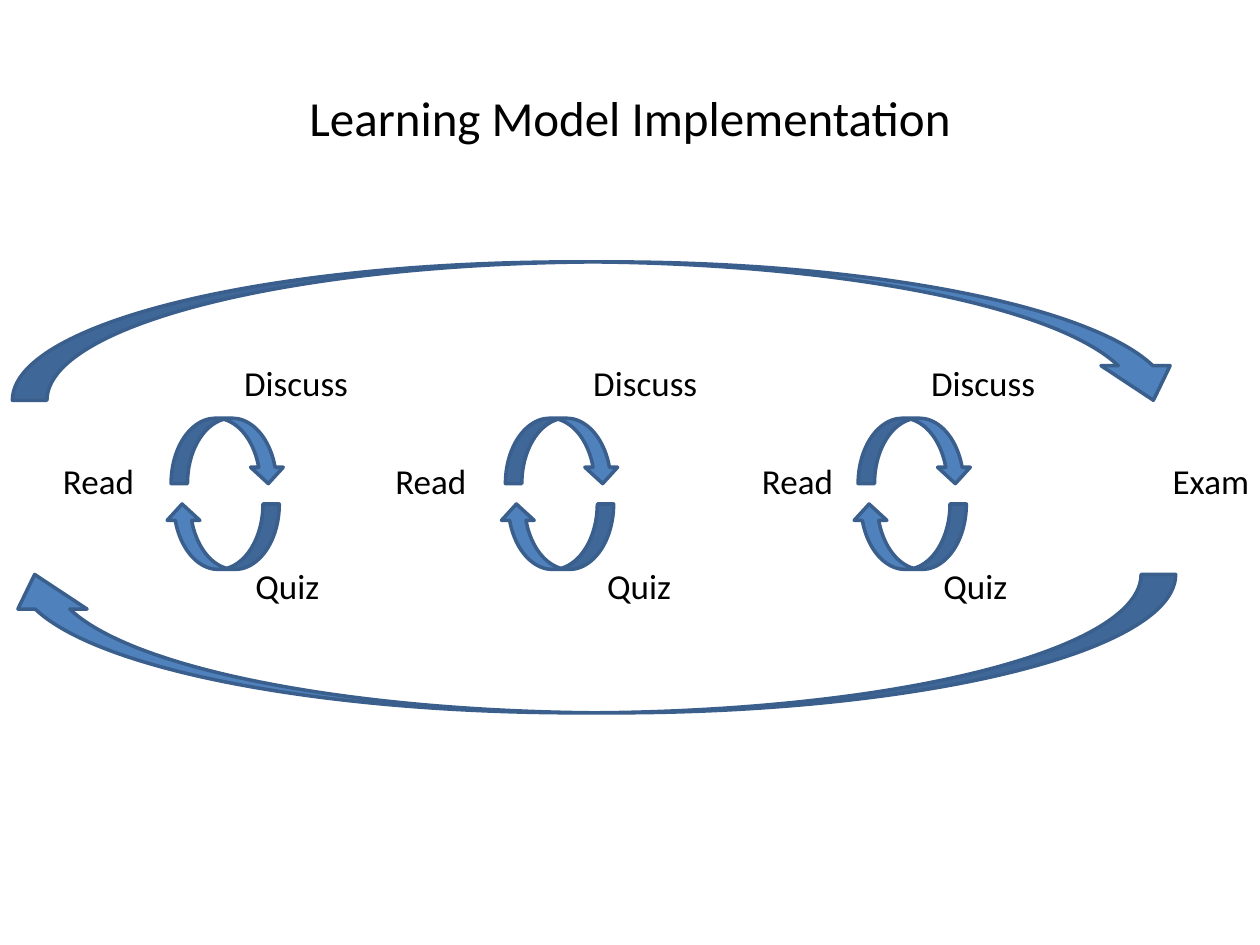
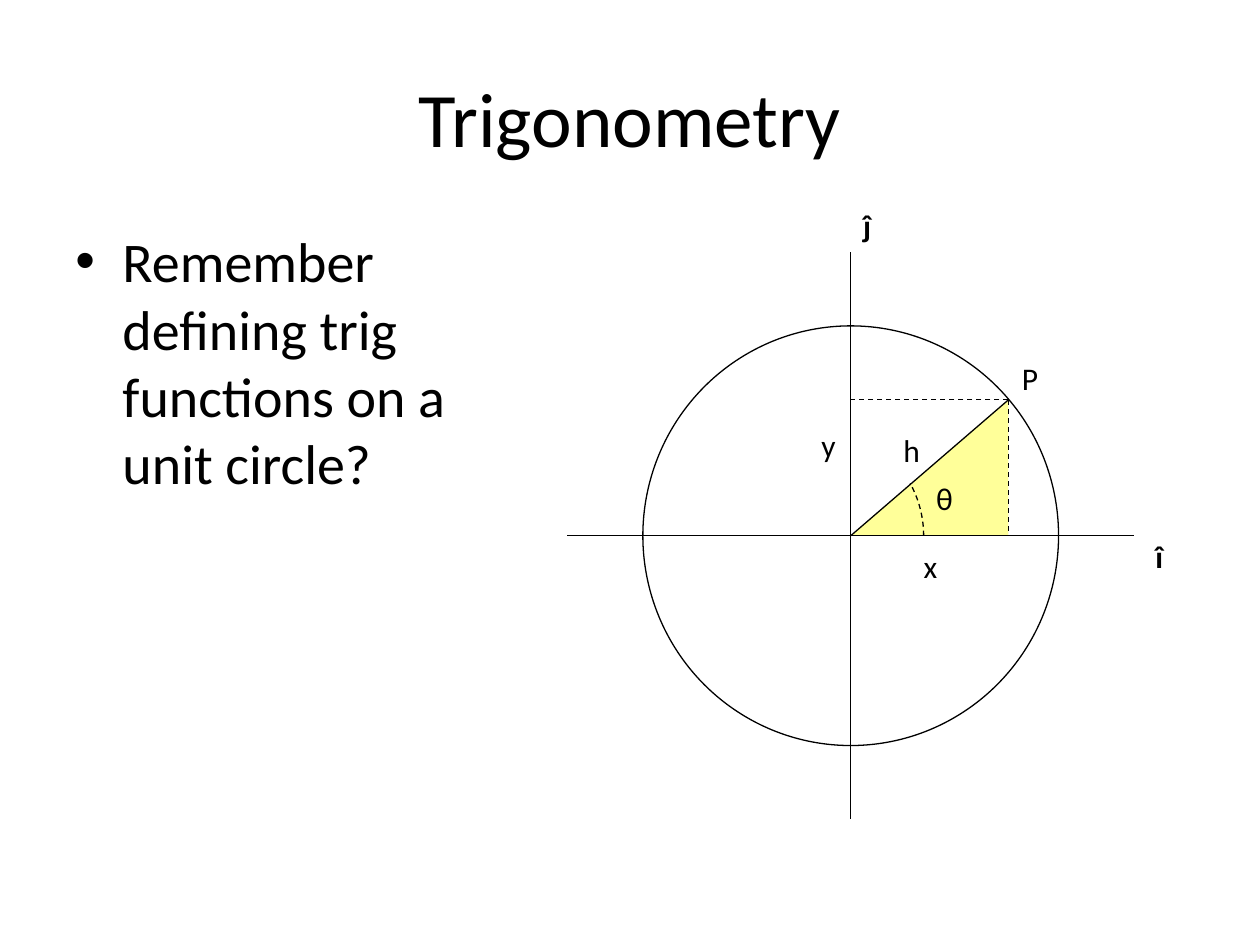
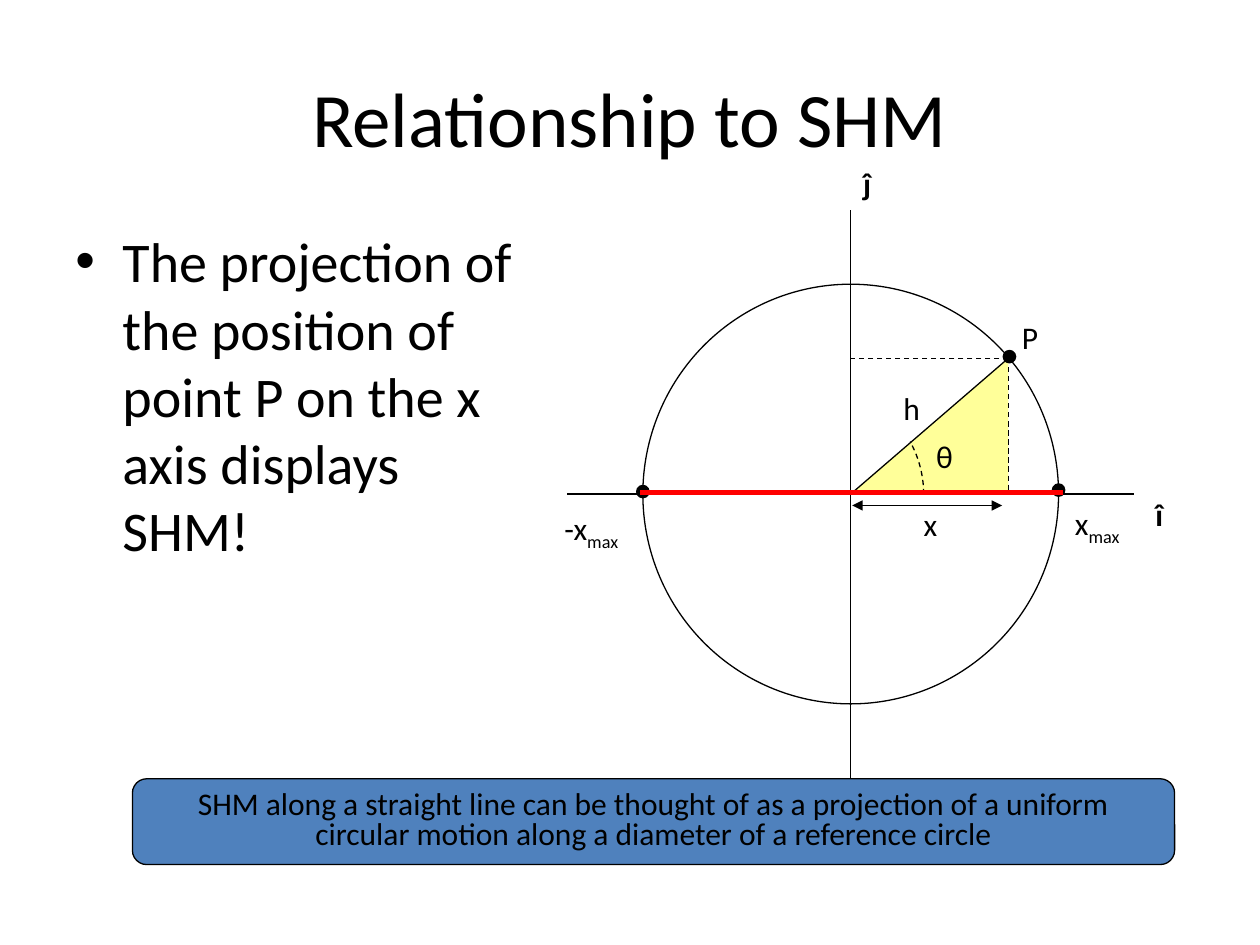
from dataclasses import dataclass
from math import cos, radians, sin

from lxml.etree import SubElement
from pptx import Presentation
from pptx.dml.color import RGBColor as RGB
from pptx.enum.dml import MSO_LINE_DASH_STYLE as DASH
from pptx.enum.shapes import MSO_CONNECTOR as CONNECTOR
from pptx.enum.shapes import MSO_SHAPE as SHAPE
from pptx.enum.text import MSO_ANCHOR as ANCHOR
from pptx.enum.text import PP_ALIGN as ALIGN
from pptx.oxml.ns import qn
from pptx.util import Cm, Pt


@dataclass(frozen=True)
class Theme:
    font: str = "Calibri"
    black: RGB = RGB(0x00, 0x00, 0x00)
    blue: RGB = RGB(0x4F, 0x81, 0xBD)
    blue_edge: RGB = RGB(0x3A, 0x5F, 0x8C)
    yellow: RGB = RGB(0xFF, 0xFF, 0x99)
    red: RGB = RGB(0xFF, 0x00, 0x00)
    title: int = 44
    small_title: int = 28
    body: int = 32
    step: int = 20
    label: int = 18
    thin: float = 0.75
    edge: float = 2
    thick: float = 3


T = Theme()


def style_runs(p, size, bold=False):
    for r in p.runs:
        r.font.name = T.font
        r.font.size = Pt(size)
        r.font.bold = bold
        r.font.color.rgb = T.black


def add_text(slide, text, x, y, w, h, size, wrap=False, bold=False):
    sp = slide.shapes.add_textbox(Cm(x), Cm(y), Cm(w), Cm(h))
    tf = sp.text_frame
    tf.word_wrap = wrap
    tf.text = text
    style_runs(tf.paragraphs[0], size, bold)
    return tf


def add_title(slide, text, size=T.title):
    tf = add_text(slide, text, 1.27, 0.76, 22.86, 3.18, size, wrap=True)
    tf.vertical_anchor = ANCHOR.MIDDLE
    tf.paragraphs[0].alignment = ALIGN.CENTER


def add_bullet(slide, text):
    tf = add_text(slide, text, 1.27, 4.45, 9.65, 12.57, T.body, wrap=True)
    pPr = tf.paragraphs[0]._p.get_or_add_pPr()
    pPr.set("marL", str(Cm(0.95)))
    pPr.set("indent", str(-Cm(0.95)))
    SubElement(pPr, qn("a:buFont")).set("typeface", "Arial")
    SubElement(pPr, qn("a:buChar")).set("char", "•")


def paint(sp, fill=None, line=None, width=T.thin):
    sp.shadow.inherit = False
    if fill is None:
        sp.fill.background()
    else:
        sp.fill.solid()
        sp.fill.fore_color.rgb = fill
    if line is None:
        sp.line.fill.background()
    else:
        sp.line.color.rgb = line
        sp.line.width = Pt(width)


def add_shape(slide, kind, x, y, w, h, fill=None, line=None, width=T.thin):
    sp = slide.shapes.add_shape(kind, Cm(x), Cm(y), Cm(w), Cm(h))
    paint(sp, fill, line, width)
    return sp


def add_line(slide, x1, y1, x2, y2, color=T.black, width=T.thin, dashed=False, arrows=False):
    cx = slide.shapes.add_connector(CONNECTOR.STRAIGHT, Cm(x1), Cm(y1), Cm(x2), Cm(y2))
    cx.line.color.rgb = color
    cx.line.width = Pt(width)
    if dashed:
        cx.line.dash_style = DASH.DASH
    if arrows:
        ln = cx.line._get_or_add_ln()
        for end in ("a:headEnd", "a:tailEnd"):
            SubElement(ln, qn(end)).set("type", "triangle")
    SubElement(cx._element.spPr, qn("a:effectLst"))


def add_arc(slide, cx, cy, radius, degrees):
    points = [(Cm(cx + radius * cos(radians(a))), Cm(cy - radius * sin(radians(a))))
              for a in range(degrees + 1)]
    builder = slide.shapes.build_freeform(*points[0])
    builder.add_line_segments(points[1:], close=False)
    sp = builder.convert_to_shape()
    paint(sp, line=T.black)
    sp.line.dash_style = DASH.DASH


def add_cycle_arrows(slide, top_xy, bottom_xy, w, h):
    for (x, y), turn in ((top_xy, 0), (bottom_xy, 180)):
        sp = add_shape(slide, SHAPE.CURVED_DOWN_ARROW, x, y, w, h, T.blue, T.blue_edge, T.edge)
        sp.rotation = turn


def add_label(slide, text, x, y, w=0.84, bold=False):
    return add_text(slide, text, x, y, w, 1.02, T.label, bold=bold)


def add_max_label(slide, text, x, y, w):
    p = add_label(slide, text, x, y, w).paragraphs[0]
    r = p.add_run()
    r.text = "max"
    style_runs(p, T.label)
    r.font._element.set("baseline", "-25000")


def add_unit_circle(slide, cx, cy):
    px, py = cx + 3.18, cy - 2.74
    axis, rx, ry = 5.72, 4.19, 4.23
    triangle = add_shape(slide, SHAPE.RIGHT_TRIANGLE, cx, py, px - cx, cy - py, T.yellow)
    triangle._element.spPr.get_or_add_xfrm().set("flipH", "1")
    add_shape(slide, SHAPE.OVAL, cx - rx, cy - ry, 2 * rx, 2 * ry, line=T.black)
    add_line(slide, cx, cy - axis, cx, cy + axis)
    add_line(slide, cx - axis, cy, cx + axis, cy)
    add_line(slide, cx, cy, px, py)
    add_line(slide, px, py, px, cy, dashed=True)
    add_line(slide, px, py, cx, py, dashed=True)
    add_arc(slide, cx - 0.71, cy, 2.18, 29)
    add_label(slide, "ĵ", cx, cy - 6.78, 0.69, bold=True)
    add_label(slide, "î", cx + 5.89, cy - 0.1, 0.69, bold=True)
    add_label(slide, "θ", cx + 1.47, cy - 1.27)
    add_label(slide, "x", cx + 1.22, cy + 0.1)
    add_label(slide, "h", cx + 0.81, cy - 2.24, 0.86)
    add_label(slide, "P", cx + 3.2, cy - 3.68, 0.94)


def add_banner(slide, text):
    sp = add_shape(slide, SHAPE.ROUNDED_RECTANGLE, 2.67, 15.7, 21.01, 1.73, T.blue, T.black)
    tf = sp.text_frame
    tf.word_wrap = True
    tf.vertical_anchor = ANCHOR.MIDDLE
    tf.text = text
    p = tf.paragraphs[0]
    p.alignment = ALIGN.CENTER
    p.line_spacing = 0.8
    style_runs(p, T.label)


def build_learning_model(slide):
    add_title(slide, "Learning Model Implementation", T.small_title)
    cycles = (
        (3.45, 1.02, 4.67, 4.9),
        (10.19, 7.72, 11.71, 11.99),
        (17.3, 15.11, 18.52, 18.77),
    )
    for arrow_x, read_x, discuss_x, quiz_x in cycles:
        add_cycle_arrows(slide, (arrow_x, 8.43), (arrow_x - 0.11, 10.16), 2.29, 1.32)
        steps = (("Read", read_x, 9.14, 1.96), ("Discuss", discuss_x, 7.16, 2.64),
                 ("Quiz", quiz_x, 11.25, 1.8))
        for text, x, y, w in steps:
            add_text(slide, text, x, y, w, 1.12, T.step)
    add_cycle_arrows(slide, (0.25, 5.28), (0, 11.58), 23.7, 2.79)
    add_text(slide, "Exam", 23.39, 9.14, 2.06, 1.12, T.step)


def build_trigonometry(slide):
    cx, cy = 17.15, 10.8
    add_title(slide, "Trigonometry")
    add_bullet(slide, "Remember defining trig functions on a unit circle?")
    add_unit_circle(slide, cx, cy)
    add_label(slide, "y", cx - 0.84, cy - 2.34)


def build_harmonic_motion(slide):
    cx, cy, dot = 17.15, 9.96, 0.25
    add_title(slide, "Relationship to SHM")
    add_bullet(slide, "The projection of the position of point P on the x axis displays SHM!")
    add_unit_circle(slide, cx, cy)
    add_max_label(slide, "x", cx + 4.27, cy + 0.08, 1.63)
    add_max_label(slide, "-x", cx - 6.02, cy + 0.18, 1.83)
    add_line(slide, cx + 0.03, cy + 0.23, cx + 3.05, cy + 0.23, arrows=True)
    for dx, dy in ((-4.19, -0.05), (4.19, -0.08), (3.2, -2.77)):
        add_shape(slide, SHAPE.OVAL, cx + dx - dot / 2, cy + dy - dot / 2, dot, dot,
                  T.black, T.black)
    add_line(slide, cx - 4.24, cy - 0.03, cx + 4.27, cy - 0.03, T.red, T.thick)
    add_banner(slide, "SHM along a straight line can be thought of as a projection of a uniform "
                      "circular motion along a diameter of a reference circle")


def main():
    prs = Presentation()
    prs.slide_width, prs.slide_height = Cm(25.4), Cm(19.05)
    for build in (build_learning_model, build_trigonometry, build_harmonic_motion):
        build(prs.slides.add_slide(prs.slide_layouts[6]))
    prs.save("out.pptx")


if __name__ == "__main__":
    main()
